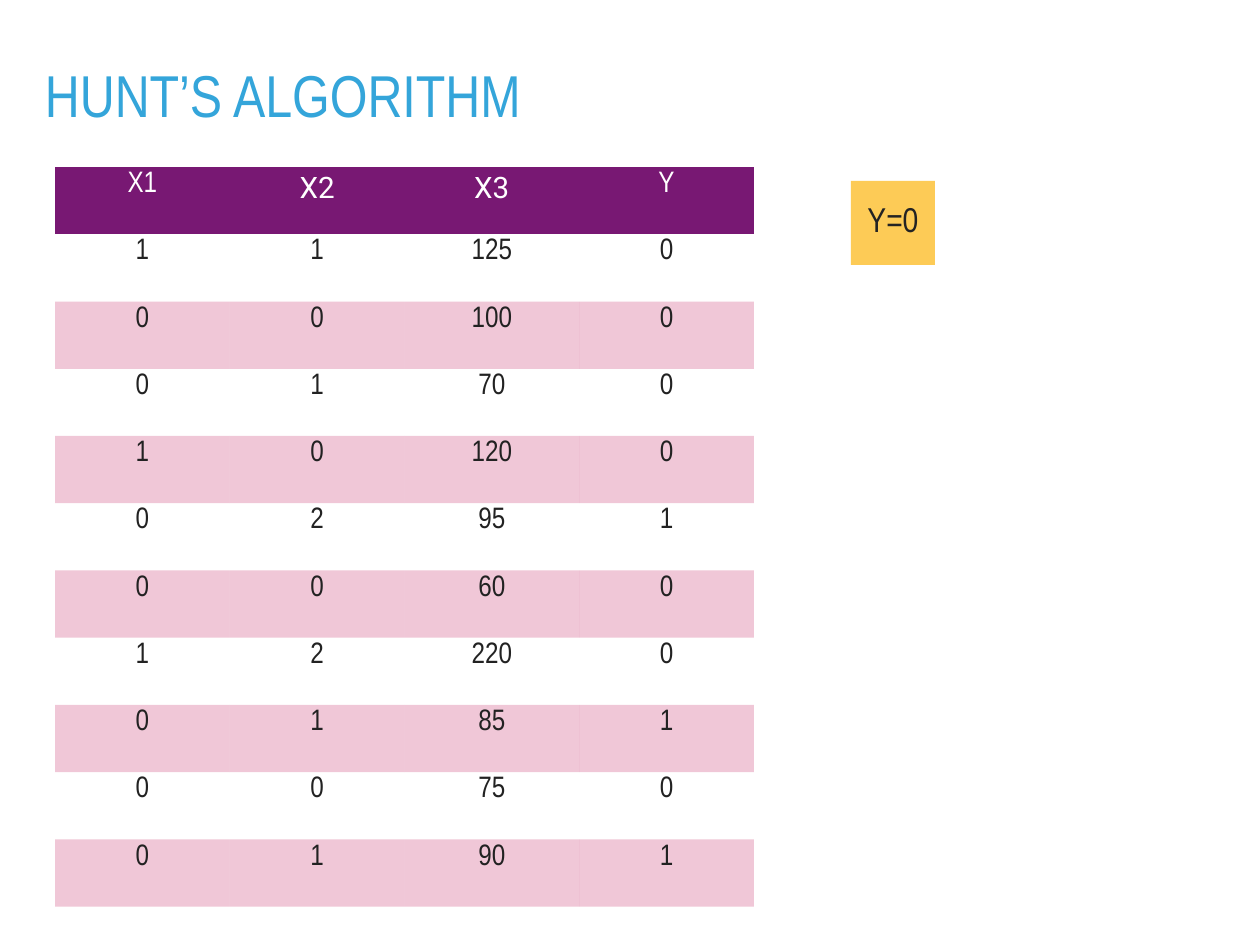
from lxml import etree
from pptx import Presentation
from pptx.dml.color import RGBColor
from pptx.enum.shapes import MSO_SHAPE
from pptx.enum.text import MSO_ANCHOR as ANCHOR, PP_ALIGN as ALIGN
from pptx.oxml.ns import qn
from pptx.util import Pt

PX = 10321
MARGIN = 6 * PX
NARROW = "Arial Narrow"


def rgb(color):
    return RGBColor.from_string(color)


def write(tf, text, size=24, font=NARROW, color="222222", align=ALIGN.CENTER, spacing=1.0):
    p = tf.paragraphs[0]
    p.alignment, p.line_spacing = align, spacing
    r = p.add_run()
    r.text = text
    r.font.size, r.font.name = Pt(size), font
    r.font.color.rgb = rgb(color)


prs = Presentation()
prs.slide_width, prs.slide_height = 1260 * PX, 945 * PX
s = prs.slides.add_slide(prs.slide_layouts[5])

title = s.shapes.title
title.left, title.top, title.width, title.height = 39 * PX, 66 * PX, 1181 * PX, 70 * PX
write(title.text_frame, "HUNT’S ALGORITHM", size=48, color="34A5DA",
      align=ALIGN.LEFT, spacing=0.8)

rows = [
    ("X1", "X2", "X3", "Y"),
    (1, 1, 125, 0),
    (0, 0, 100, 0),
    (0, 1, 70, 0),
    (1, 0, 120, 0),
    (0, 2, 95, 1),
    (0, 0, 60, 0),
    (1, 2, 220, 0),
    (0, 1, 85, 1),
    (0, 0, 75, 0),
    (0, 1, 90, 1),
]
frame = s.shapes.add_table(len(rows), 4, 55 * PX, 167 * PX, 699 * PX, 740 * PX)
table = frame.table
table.horz_banding = False
# "No Style, No Grid" removes the default white cell borders
table_style = frame._element.find(".//" + qn("a:tableStyleId"))
table_style.text = "{2D5ABB26-0587-4C30-8999-92F81FD0307C}"

for i, row in enumerate(rows):
    for j, value in enumerate(row):
        cell = table.cell(i, j)
        cell.margin_left = cell.margin_right = 5 * PX
        cell.margin_top = cell.margin_bottom = 4 * PX
        header = i == 0
        write(cell.text_frame, str(value), color="FFFFFF" if header else "222222",
              font="Roboto" if value in ("X2", "X3") else NARROW)
        if i % 2:
            cell.fill.background()
            continue
        cell.fill.solid()
        cell.fill.fore_color.rgb = rgb("781873" if header else "C52060")
        if not header:
            tint = cell._tc.tcPr.find(".//" + qn("a:srgbClr"))
            etree.SubElement(tint, qn("a:alpha"), val="25000")

leaf = s.shapes.add_shape(MSO_SHAPE.RECTANGLE, 851 * PX, 181 * PX, 84 * PX, 84 * PX)
leaf.shadow.inherit = False
leaf.fill.solid()
leaf.fill.fore_color.rgb = rgb("FDCB56")
leaf.line.fill.background()
write(leaf.text_frame, "Y=0", size=28, color="232323", spacing=0.8)

for tf in (title.text_frame, leaf.text_frame):
    tf.word_wrap = True
    tf.vertical_anchor = ANCHOR.MIDDLE
    tf.margin_left = tf.margin_right = tf.margin_top = tf.margin_bottom = MARGIN

prs.save("out.pptx")
